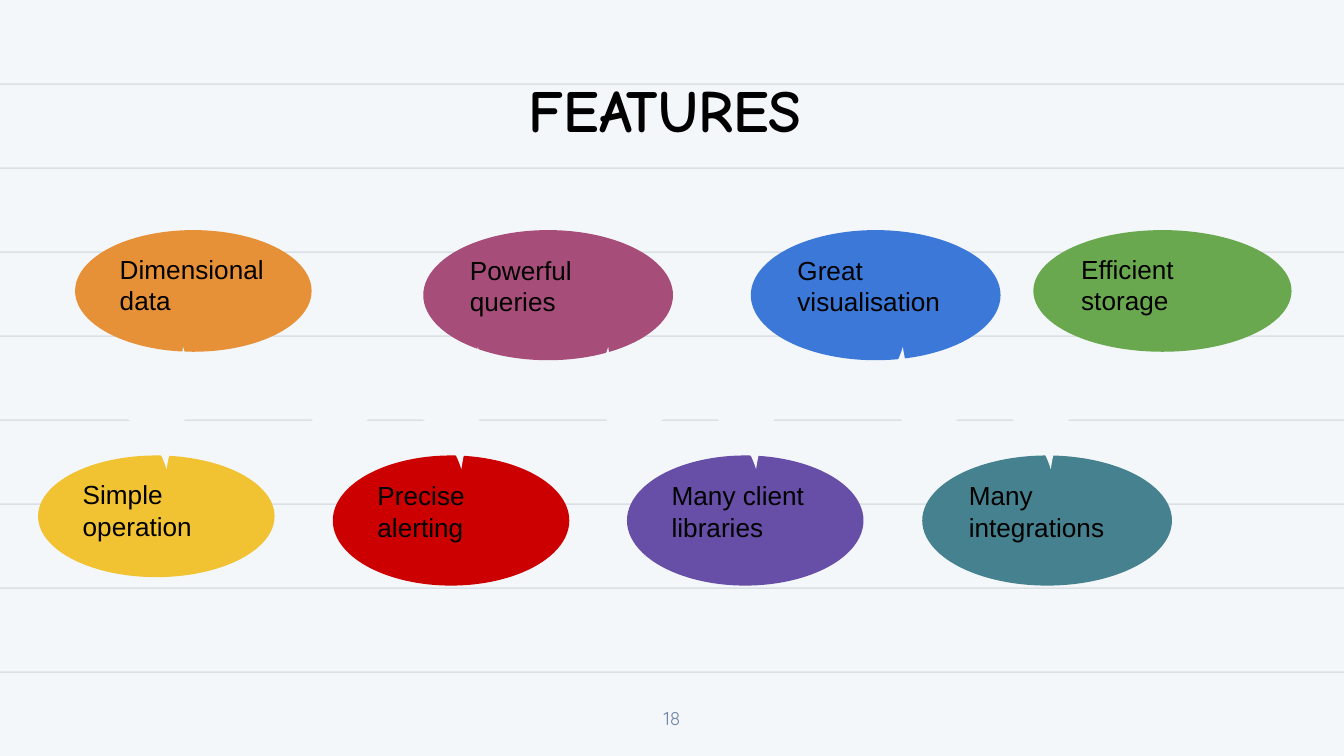
from lxml.etree import Element as Node, SubElement as Sub
from pptx import Presentation
from pptx.dml.color import RGBColor as RGB
from pptx.enum.shapes import MSO_SHAPE as Kind
from pptx.enum.text import MSO_ANCHOR as Anchor, PP_ALIGN as Align
from pptx.oxml.ns import qn
from pptx.util import Cm, Pt

PAPER = RGB(0xF4, 0xF7, 0xFA)
RULE = RGB(0x30, 0x48, 0x5C)
BLACK = RGB(0, 0, 0)
GREY = RGB(0x70, 0x85, 0xAA)
YELLOW = RGB(0xF1, 0xC2, 0x32)
ORANGE = RGB(0xE6, 0x91, 0x38)
RED = RGB(0xCC, 0, 0)
PINK = RGB(0xA6, 0x4D, 0x79)
PURPLE = RGB(0x67, 0x4E, 0xA7)
BLUE = RGB(0x3C, 0x78, 0xD8)
TEAL = RGB(0x45, 0x81, 0x8E)
GREEN = RGB(0x6A, 0xA8, 0x4F)


def paint(shape, color):
    shape.shadow.inherit = False
    shape.fill.solid()
    shape.fill.fore_color.rgb = color
    shape.line.fill.background()


def write(shape, text, name, size, color, align, anchor, bold=False):
    frame = shape.text_frame
    frame.text = text
    frame.word_wrap = True
    frame.vertical_anchor = anchor
    para = frame.paragraphs[0]
    para.alignment = align
    font = para.runs[0].font
    font.name = name
    font.size = Pt(size)
    font.bold = bold
    font.color.rgb = color
    return frame


deck = Presentation()
deck.slide_width = Cm(25.4)
deck.slide_height = Cm(14.29)
slide = deck.slides.add_slide(deck.slide_layouts[5])
slide.background.fill.solid()
slide.background.fill.fore_color.rgb = PAPER
shapes = slide.shapes

title = shapes.title
title.left, title.top = Cm(0.49), Cm(1.24)
title.width, title.height = Cm(24.16), Cm(1.63)
write(title, "FEATURES", "Comic Neue", 32, BLACK, Align.CENTER, Anchor.TOP, True)

for row in range(1, 9):
    rule = shapes.add_shape(Kind.RECTANGLE, 0, Cm(1.5875 * row - 0.01), Cm(25.4), Cm(0.03))
    paint(rule, RULE)
    tint = rule._element.spPr.find(qn("a:solidFill"))[0]
    Sub(tint, qn("a:alpha")).set("val", "13000")

number = shapes.add_textbox(Cm(11.94), Cm(13.19), Cm(1.52), Cm(0.76))
frame = write(number, "18", "Quicksand", 10, GREY, Align.CENTER, Anchor.MIDDLE)
frame.margin_left = frame.margin_right = 0
frame.margin_top = frame.margin_bottom = 0

UPPER, LOWER = 4.35, 8.61
bubbles = [
    ("Simple operation", 0.72, LOWER, 4.47, 2.3, YELLOW),
    ("Dimensional data", 1.42, UPPER, 4.47, 2.3, ORANGE),
    ("Precise alerting", 6.29, LOWER, 4.47, 2.46, RED),
    ("Powerful queries", 8, UPPER, 4.72, 2.46, PINK),
    ("Many client libraries", 11.85, LOWER, 4.47, 2.46, PURPLE),
    ("Great visualisation", 14.19, UPPER, 4.72, 2.46, BLUE),
    ("Many integrations", 17.43, LOWER, 4.72, 2.46, TEAL),
    ("Efficient storage", 19.53, UPPER, 4.88, 2.3, GREEN),
]
for text, left, top, width, height, color in bubbles:
    bubble = shapes.add_shape(Kind.OVAL, Cm(left), Cm(top), Cm(width), Cm(height))
    paint(bubble, color)
    frame = write(bubble, text, "Arial", 14, BLACK, Align.LEFT, Anchor.TOP)
    frame.margin_left = frame.margin_right = Cm(0.19)
    frame.margin_top = frame.margin_bottom = Cm(0.1)

WIDE = 1.76
star = [
    (1.04, 0),
    (0.93, 0.79), (0.6, 1.22), (0, 1.37),
    (0.33, 1.55), (0.6, 1.88), (0.73, 2.31),
    (0.84, 1.52), (1.16, 1.09), (WIDE, 0.95),
    (1.43, 0.78), (1.17, 0.43), (1.04, 0),
]
for col in range(7):
    left = 2.42 + 2.785 * col
    spots = [(Cm(left + (WIDE - x if col % 2 else x)), Cm(6.56 + y)) for x, y in star]
    pen = shapes.build_freeform(*spots[0])
    pen.add_line_segments(spots[1:], close=True)
    spark = pen.convert_to_shape()
    paint(spark, PAPER)
    lines = list(spark._element.iter(qn("a:lnTo")))
    for start in range(0, len(lines), 3):
        curve = Node(qn("a:cubicBezTo"))
        lines[start].addprevious(curve)
        for line in lines[start:start + 3]:
            curve.append(line[0])
            line.getparent().remove(line)

deck.save("out.pptx")
